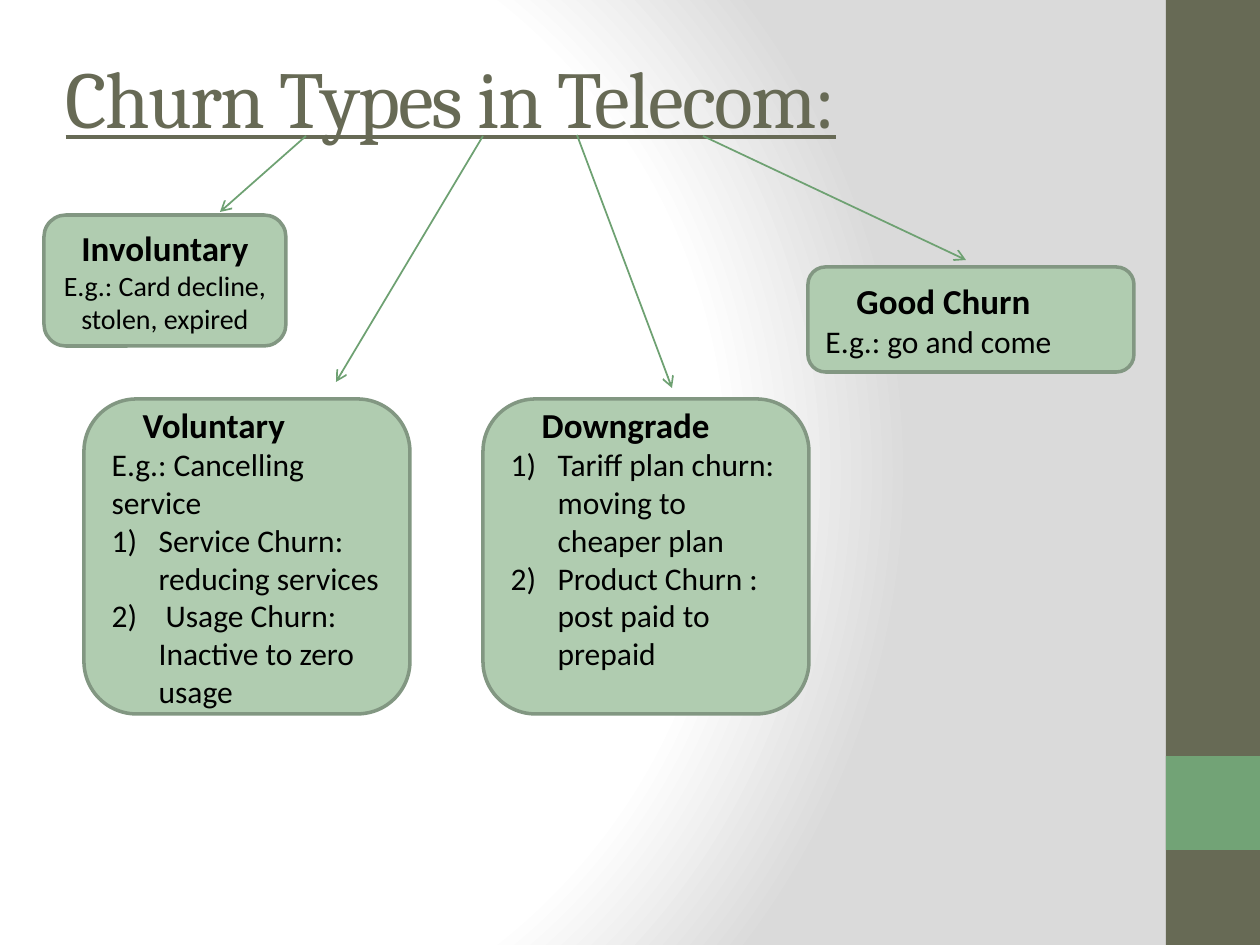
from dataclasses import dataclass

from lxml import etree
from pptx import Presentation
from pptx.dml.color import RGBColor
from pptx.enum.shapes import MSO_CONNECTOR, MSO_SHAPE
from pptx.enum.text import MSO_ANCHOR, MSO_AUTO_SIZE, PP_ALIGN
from pptx.oxml import parse_xml
from pptx.oxml.ns import nsdecls, qn
from pptx.util import Emu, Pt

RECT, ROUNDED = MSO_SHAPE.RECTANGLE, MSO_SHAPE.ROUNDED_RECTANGLE
STRAIGHT = MSO_CONNECTOR.STRAIGHT
TOP, MIDDLE = MSO_ANCHOR.TOP, MSO_ANCHOR.MIDDLE
LEFT, CENTER = PP_ALIGN.LEFT, PP_ALIGN.CENTER
NO_AUTOFIT = MSO_AUTO_SIZE.NONE
TITLE_ONLY = 5


@dataclass(frozen=True)
class Theme:
    heading_font: str = "Cambria"
    body_font: str = "Calibri"
    olive: str = "676A55"
    green: str = "72A376"
    arrow: str = "6EA172"
    card: str = "B0CCB0"
    card_edge: str = "829782"
    text: str = "000000"
    backdrop: tuple = ((0, "FFFFFF"), (75, "FFFFFF"), (100, "DADADA"))
    title_size: int = 46
    heading_size: int = 20
    body_size: int = 18
    small_size: int = 16


def px(length):
    return Emu(round(length * 914400 / 126))


def rgb(color):
    return RGBColor.from_string(color)


class SlideBuilder:
    def __init__(self, slide, theme):
        self.slide = slide
        self.theme = theme

    def background(self):
        fill = self.slide.background.fill
        fill.solid()
        stops = "".join(
            f'<a:gs pos="{position * 1000}"><a:srgbClr val="{color}"/></a:gs>'
            for position, color in self.theme.backdrop
        )
        gradient = parse_xml(
            f'<a:gradFill {nsdecls("a")} rotWithShape="1"><a:gsLst>{stops}</a:gsLst>'
            '<a:path path="circle"><a:fillToRect l="20000" t="50000" r="100000" b="50000"/>'
            "</a:path></a:gradFill>"
        )
        solid = next(self.slide.element.iter(qn("a:solidFill")))
        solid.getparent().replace(solid, gradient)

    def style(self, paragraph, size, font, color, bold=False, underline=False):
        for run in paragraph.runs:
            run.font.size = Pt(size)
            run.font.name = font
            run.font.color.rgb = rgb(color)
            run.font.bold = bold
            run.font.underline = underline

    def title(self, text, left, top, width, height):
        title = self.slide.shapes.title
        title.left, title.top, title.width, title.height = map(px, (left, top, width, height))
        frame = title.text_frame
        frame.text = text
        frame.auto_size = NO_AUTOFIT
        frame.vertical_anchor = TOP
        heading = frame.paragraphs[0]
        heading.alignment = LEFT
        self.style(heading, self.theme.title_size, self.theme.heading_font,
                   self.theme.olive, underline=True)
        heading.runs[0].font._element.set("spc", "-100")

    def shape(self, kind, box, color):
        shape = self.slide.shapes.add_shape(kind, *map(px, box))
        shape.shadow.inherit = False
        shape.fill.solid()
        shape.fill.fore_color.rgb = rgb(color)
        shape.line.fill.background()
        return shape

    def card(self, box, heading, example="", items=(), align=LEFT, small=False, bottom=6):
        theme = self.theme
        card = self.shape(ROUNDED, box, theme.card)
        card.line.color.rgb = rgb(theme.card_edge)
        card.line.width = Pt(2)
        frame = card.text_frame
        frame.word_wrap = True
        frame.vertical_anchor = MIDDLE
        frame.margin_bottom = px(bottom)
        lines = [heading, *([example] if example else []), *items]
        frame.text = "\n".join(lines)
        for paragraph in frame.paragraphs:
            paragraph.alignment = align
            self.style(paragraph, theme.small_size if small else theme.body_size,
                       theme.body_font, theme.text)
        first = frame.paragraphs[0]
        self.style(first, theme.heading_size, theme.body_font, theme.text, bold=True)
        if align == LEFT:
            self.indent(first, 31)
        for item in frame.paragraphs[len(lines) - len(items):]:
            properties = self.indent(item, 47, -47)
            etree.SubElement(properties, qn("a:buFont"), typeface="+mj-lt")
            etree.SubElement(properties, qn("a:buAutoNum"), type="arabicParenR")

    def indent(self, paragraph, margin, first_line=0):
        properties = paragraph._p.get_or_add_pPr()
        properties.set("marL", str(px(margin)))
        properties.set("indent", str(px(first_line)))
        return properties

    def arrow(self, start, end):
        arrow = self.slide.shapes.add_connector(STRAIGHT, *map(px, (*start, *end)))
        arrow.line.color.rgb = rgb(self.theme.arrow)
        arrow.line.width = Pt(1)
        etree.SubElement(arrow.line._get_or_add_ln(), qn("a:tailEnd"), type="arrow")
        etree.SubElement(arrow._element.spPr, qn("a:effectLst"))


deck = Presentation()
deck.slide_width, deck.slide_height = px(1260), px(945)
theme = Theme()
builder = SlideBuilder(deck.slides.add_slide(deck.slide_layouts[TITLE_ONLY]), theme)

builder.background()
builder.shape(RECT, (1166, 0, 94, 945), theme.olive)
builder.shape(RECT, (1166, 756, 94, 94), theme.green)
builder.title("Churn Types in Telecom:", 53, 42, 913, 105)

for start, end in (
    ((306, 136), (220, 212)),
    ((483, 136), (336, 382)),
    ((577, 135), (672, 388)),
    ((703, 136), (966, 260)),
):
    builder.arrow(start, end)

builder.card((44, 215, 242, 131), "Involuntary", "E.g.: Card decline, stolen, expired",
             align=CENTER, small=True)
builder.card((84, 399, 326, 315), "Voluntary", "E.g.: Cancelling service",
             ("Service Churn: reducing services", " Usage Churn: Inactive to zero usage"))
builder.card((483, 399, 326, 315), "Downgrade",
             items=("Tariff plan churn: moving to cheaper plan",
                    "Product Churn : post paid to prepaid"), bottom=44)
builder.card((808, 267, 326, 105), "Good Churn", "E.g.: go and come")

deck.save("out.pptx")
